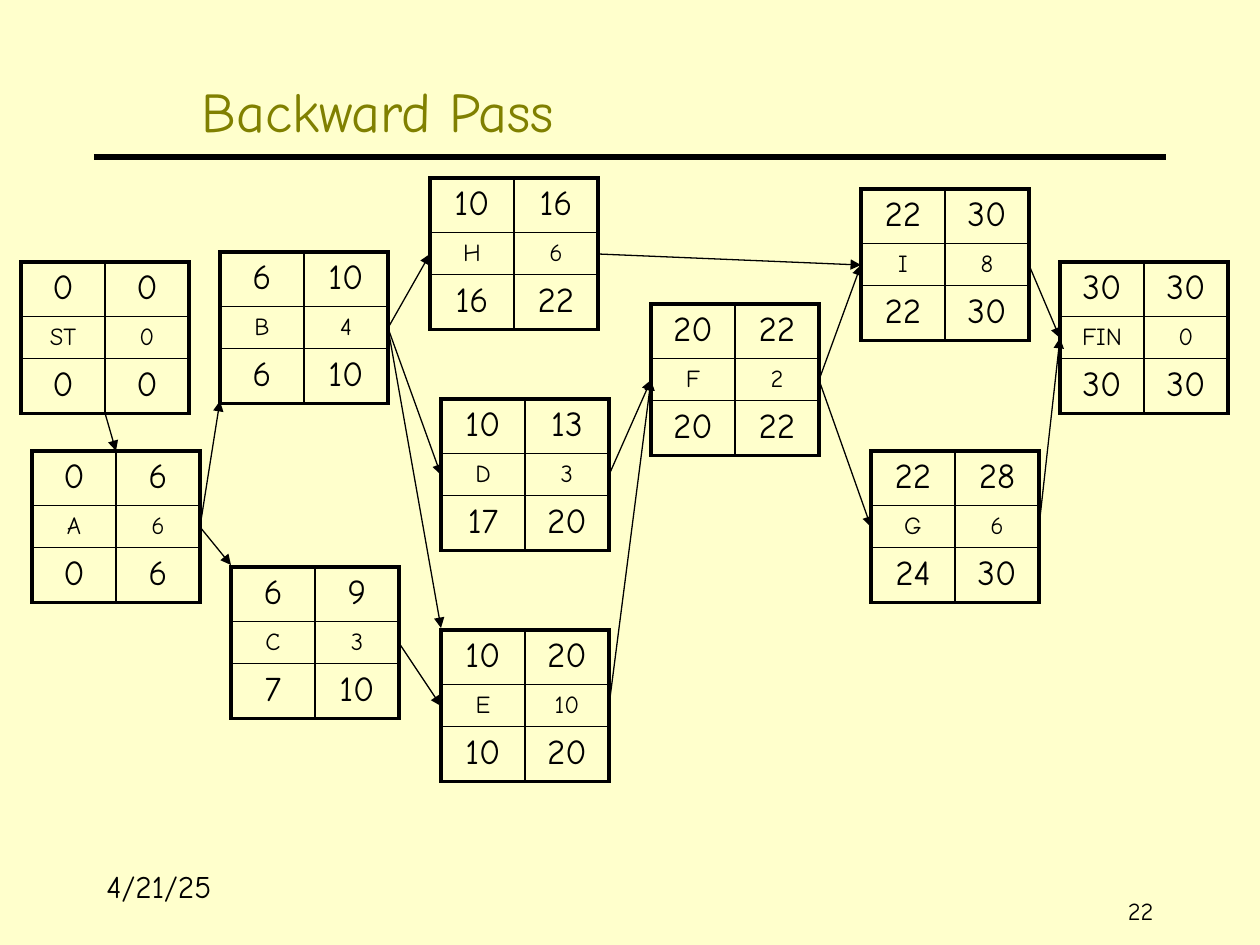
"""Build the backward pass slide of a project network diagram."""
from dataclasses import dataclass

from pptx import Presentation
from pptx.dml.color import RGBColor
from pptx.enum.shapes import MSO_CONNECTOR
from pptx.enum.text import MSO_ANCHOR, PP_ALIGN
from pptx.oxml.ns import qn
from pptx.oxml.xmlchemy import OxmlElement
from pptx.util import Pt

STRAIGHT = MSO_CONNECTOR.STRAIGHT
LEFT, CENTER, RIGHT = PP_ALIGN.LEFT, PP_ALIGN.CENTER, PP_ALIGN.RIGHT
TOP, MIDDLE = MSO_ANCHOR.TOP, MSO_ANCHOR.MIDDLE

PX_PER_INCH = 126
FONT = "Comic Neue"
BLACK, OLIVE, CREAM = "000000", "808000", "FFFFCC"
COLUMN_WIDTH = 84
ROW_HEIGHTS = (53, 41, 53)
ROW_SIZES = (20, 14, 20)
OUTER_BORDER, INNER_BORDER = 2.25, 1
ANCHORS = {
    "left": (0, 76),
    "right": (2 * COLUMN_WIDTH, 76),
    "top": (COLUMN_WIDTH, 0),
    "bottom": (COLUMN_WIDTH, 151),
    "top left": (0, -2),
    "bottom left": (0, 149),
}


@dataclass(frozen=True)
class Activity:
    """An activity box: place, early times, duration and late times."""
    name: str
    left: int
    top: int
    early: tuple[int, int]
    duration: int
    late: tuple[int, int]

    def rows(self) -> tuple:
        """Return the cell values row by row."""
        return self.early, (self.name, self.duration), self.late

    def anchor(self, side: str) -> tuple[int, int]:
        """Return the point where an arrow meets the given side."""
        across, down = ANCHORS[side]
        return self.left + across, self.top + down


@dataclass(frozen=True)
class Dependency:
    """An arrow between two activities."""
    source: str
    target: str
    leave: str = "right"
    enter: str = "left"


ACTIVITIES = (
    Activity("ST", 21, 262, (0, 0), 0, (0, 0)),
    Activity("A", 32, 451, (0, 6), 6, (0, 6)),
    Activity("C", 231, 567, (6, 9), 3, (7, 10)),
    Activity("B", 220, 252, (6, 10), 4, (6, 10)),
    Activity("E", 441, 630, (10, 20), 10, (10, 20)),
    Activity("D", 441, 399, (10, 13), 3, (17, 20)),
    Activity("H", 430, 178, (10, 16), 6, (16, 22)),
    Activity("F", 651, 304, (20, 22), 2, (20, 22)),
    Activity("G", 871, 451, (22, 28), 6, (24, 30)),
    Activity("I", 861, 189, (22, 30), 8, (22, 30)),
    Activity("FIN", 1060, 262, (30, 30), 0, (30, 30)),
)
DEPENDENCIES = (
    Dependency("ST", "A", "bottom", "top"),
    Dependency("A", "B", enter="bottom left"),
    Dependency("A", "C", enter="top left"),
    Dependency("B", "H"),
    Dependency("B", "D"),
    Dependency("B", "E", enter="top left"),
    Dependency("C", "E"),
    Dependency("H", "I"),
    Dependency("D", "F"),
    Dependency("E", "F"),
    Dependency("F", "I"),
    Dependency("F", "G"),
    Dependency("I", "FIN"),
    Dependency("G", "FIN"),
)


def px(length: int) -> int:
    """Convert pixels to EMU."""
    return round(length * 914400 / PX_PER_INCH)


def color(value: str) -> RGBColor:
    """Return the colour for a hex string."""
    return RGBColor.from_string(value)


def write(frame, text: str, size: int, alignment, ink: str = BLACK) -> None:
    """Put one formatted paragraph into a text frame."""
    frame.text = text
    paragraph = frame.paragraphs[0]
    paragraph.alignment = alignment
    paragraph.font.name = FONT
    paragraph.font.size = Pt(size)
    paragraph.font.color.rgb = color(ink)


def add_title(slide, text: str) -> None:
    """Place and format the title placeholder."""
    title = slide.shapes.title
    title.left, title.top, title.width, title.height = map(px, (189, 32, 1071, 157))
    write(title.text_frame, text, 32, LEFT, OLIVE)
    title.text_frame.vertical_anchor = MIDDLE


def add_footer(slide, left: int, text: str, size: int, alignment, margin_top: int) -> None:
    """Add a footer text box."""
    frame = slide.shapes.add_textbox(px(left), px(861), px(262), px(63)).text_frame
    frame.word_wrap = True
    frame.vertical_anchor = TOP
    frame.margin_top = px(margin_top)
    write(frame, text, size, alignment)


def add_line(slide, start: tuple[int, int], end: tuple[int, int],
             width: float, arrow: bool = False) -> None:
    """Add a straight black line, with an arrowhead at its end if asked."""
    connector = slide.shapes.add_connector(STRAIGHT, *map(px, start + end))
    connector.line.color.rgb = color(BLACK)
    connector.line.width = Pt(width)
    properties = connector.element.spPr
    if arrow:
        head = OxmlElement("a:tailEnd")
        head.set("type", "triangle")
        properties.find(qn("a:ln")).append(head)
    properties.append(OxmlElement("a:effectLst"))


def add_border(cell, side: str, width: float) -> None:
    """Draw one black border of a cell."""
    line = OxmlElement(f"a:ln{side}")
    line.set("w", str(Pt(width)))
    fill = OxmlElement("a:solidFill")
    ink = OxmlElement("a:srgbClr")
    ink.set("val", BLACK)
    fill.append(ink)
    line.append(fill)
    cell._tc.get_or_add_tcPr().append(line)


def add_activity(slide, activity: Activity) -> None:
    """Add an activity as a table of three rows and two columns."""
    table = slide.shapes.add_table(
        3, 2, px(activity.left), px(activity.top),
        px(2 * COLUMN_WIDTH), px(sum(ROW_HEIGHTS))).table
    table.first_row = table.horz_banding = False
    for column in table.columns:
        column.width = px(COLUMN_WIDTH)
    for row, values in enumerate(activity.rows()):
        table.rows[row].height = px(ROW_HEIGHTS[row])
        for column, value in enumerate(values):
            cell = table.cell(row, column)
            write(cell.text_frame, str(value), ROW_SIZES[row], CENTER)
            outer = {"L": column == 0, "R": column == 1, "T": row == 0, "B": row == 2}
            for side, is_outer in outer.items():
                add_border(cell, side, OUTER_BORDER if is_outer else INNER_BORDER)
            cell.fill.background()


def main() -> None:
    """Build and save the presentation."""
    presentation = Presentation()
    presentation.slide_width, presentation.slide_height = px(1260), px(945)
    slide = presentation.slides.add_slide(presentation.slide_layouts[5])
    slide.background.fill.solid()
    slide.background.fill.fore_color.rgb = color(CREAM)
    add_line(slide, (94, 157), (1166, 157), 3)
    add_footer(slide, 94, "4/21/25", 18, LEFT, 6)
    add_footer(slide, 904, "22", 14, RIGHT, 35)
    add_title(slide, "Backward Pass")
    for activity in ACTIVITIES:
        add_activity(slide, activity)
    by_name = {activity.name: activity for activity in ACTIVITIES}
    for link in DEPENDENCIES:
        add_line(slide, by_name[link.source].anchor(link.leave),
                 by_name[link.target].anchor(link.enter), 0.75, arrow=True)
    presentation.save("out.pptx")


if __name__ == "__main__":
    main()
